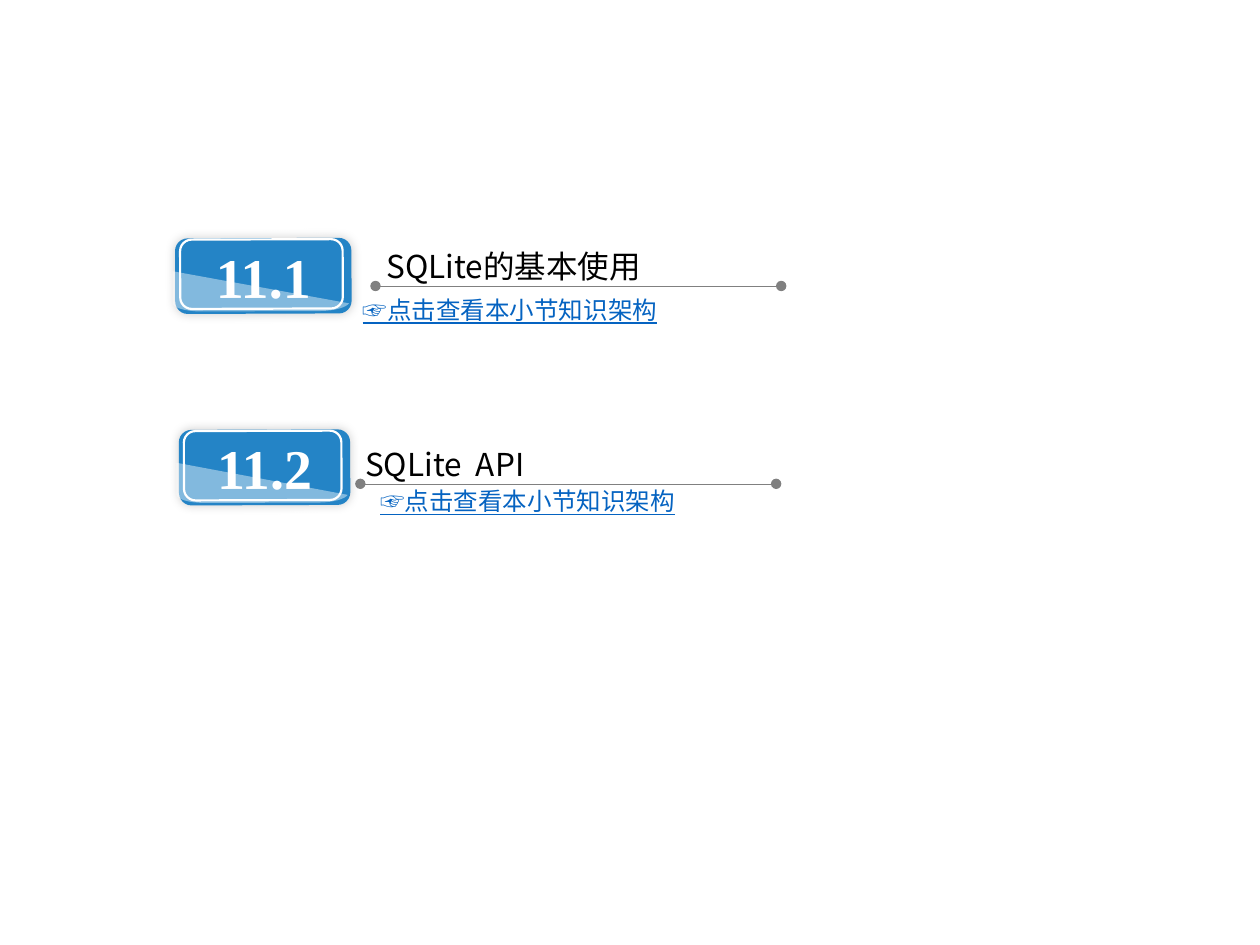
from lxml.etree import SubElement
from pptx import Presentation
from pptx.dml.color import RGBColor
from pptx.enum.dml import MSO_LINE
from pptx.enum.shapes import MSO_CONNECTOR, MSO_SHAPE
from pptx.enum.text import MSO_ANCHOR, MSO_AUTO_SIZE, PP_ALIGN
from pptx.oxml.ns import qn
from pptx.util import Inches, Pt

BLUE = RGBColor(0x24, 0x84, 0xC6)
LINK_BLUE = RGBColor(0x05, 0x63, 0xC1)
GRAY = RGBColor(0x80, 0x80, 0x80)
BLACK = RGBColor(0, 0, 0)
WHITE = RGBColor(0xFF, 0xFF, 0xFF)

SANS = "Noto Sans CJK SC"
SERIF = "Times New Roman"
LINK_TEXT = "☞点击查看本小节知识架构"
TILT = -0.2
SECTIONS = [
    {"number": "11.1", "title": "SQLite的基本使用", "badge": (1.39, 1.89, 1.4),
     "heading": (2.97, 1.91, 2.3), "rule": (2.98, 6.2, 2.27), "link": (2.78, 2.29)},
    {"number": "11.2", "title": "SQLite  API", "badge": (1.42, 3.41, 1.36),
     "heading": (2.8, 3.48, 1.54), "rule": (2.86, 6.16, 3.84), "link": (2.92, 3.81)},
]


def cubic_points(start, first, second, end, steps=8):
    """Return the points along a cubic curve after its start."""
    points = []
    for step in range(1, steps + 1):
        t = step / steps
        weights = ((1 - t) ** 3, 3 * t * (1 - t) ** 2, 3 * t * t * (1 - t), t ** 3)
        points.append(tuple(sum(weight * value for weight, value in zip(weights, values))
                            for values in zip(start, first, second, end)))
    return points


class SectionSlide:
    """Draws numbered section entries in one style on the current slide."""

    def __init__(self, slide):
        self.shapes = slide.shapes

    def add_run(self, paragraph, text, size, color, font=SANS):
        run = paragraph.add_run()
        run.text = text
        run.font.size = Pt(size)
        run.font.color.rgb = color
        run.font.name = font
        SubElement(run.font._element, qn("a:ea")).set("typeface", font)
        return run

    def add_text(self, left, top, width, height, text, size, color, wrap):
        box = self.shapes.add_textbox(*map(Inches, (left, top, width, height)))
        box.text_frame.word_wrap = wrap
        box.text_frame.auto_size = MSO_AUTO_SIZE.SHAPE_TO_FIT_TEXT
        return self.add_run(box.text_frame.paragraphs[0], text, size, color)

    def add_rule(self, left, right, top):
        rule = self.shapes.add_connector(
            MSO_CONNECTOR.STRAIGHT, Inches(left), Inches(top), Inches(right), Inches(top))
        rule.line.color.rgb = GRAY
        rule.line.width = Pt(0.25)
        rule.line.dash_style = MSO_LINE.ROUND_DOT
        line = rule.line._get_or_add_ln()
        for end in ("a:headEnd", "a:tailEnd"):
            SubElement(line, qn(end)).set("type", "oval")
        SubElement(rule._element.spPr, qn("a:effectLst"))

    def add_rounded(self, left, top, width, height):
        shape = self.shapes.add_shape(
            MSO_SHAPE.ROUNDED_RECTANGLE, *map(Inches, (left, top, width, height)))
        shape.rotation = TILT
        shape.shadow.inherit = False
        return shape

    def add_glow(self, shape):
        effects = shape._element.spPr.find(qn("a:effectLst"))
        shadow = SubElement(effects, qn("a:outerShdw"), blurRad=str(Pt(6)), dist="0",
                            dir=str(225 * 60000), rotWithShape="0")
        color = SubElement(shadow, qn("a:srgbClr"), val="000000")
        SubElement(color, qn("a:alpha"), val="20000")

    def add_glare(self, left, top, width):
        right, bottom = left + width, top + 0.32
        bottom_right, bottom_left = (right - 0.23, bottom), (left + 0.23, bottom)
        tip, left_end = (right, top + 0.26), (left, top + 0.25)
        points = [tip]
        points += cubic_points(tip, (right - 0.02, top + 0.29),
                               (right - 0.11, bottom), bottom_right)
        points.append(bottom_left)
        points += cubic_points(bottom_left, (left + 0.1, bottom),
                               (left, top + 0.29), left_end)
        builder = self.shapes.build_freeform(Inches(left), Inches(top))
        builder.add_line_segments([(Inches(x), Inches(y)) for x, y in points], close=True)
        glare = builder.convert_to_shape()
        glare.rotation = TILT
        glare.shadow.inherit = False
        glare.line.fill.background()
        glare.fill.solid()
        glare.fill.fore_color.rgb = WHITE
        color = glare._element.spPr.find(qn("a:solidFill"))[0]
        SubElement(color, qn("a:alpha"), val="43000")

    def add_badge(self, left, top, width, number):
        badge = self.add_rounded(left, top, width, 0.6)
        badge.fill.solid()
        badge.fill.fore_color.rgb = BLUE
        badge.line.fill.background()
        self.add_glow(badge)
        badge.text_frame.vertical_anchor = MSO_ANCHOR.MIDDLE
        paragraph = badge.text_frame.paragraphs[0]
        paragraph.alignment = PP_ALIGN.CENTER
        self.add_run(paragraph, number, 32, WHITE, SERIF).font.bold = True

        border = self.add_rounded(left + 0.04, top + 0.01, width - 0.11, 0.55)
        border.fill.background()
        border.line.color.rgb = WHITE
        border.line.width = Pt(1.25)
        self.add_glare(left - 0.02, top + 0.26, width)

    def add_section(self, section):
        self.add_rule(*section["rule"])
        self.add_text(*section["heading"], 0.4, section["title"], 18, BLACK, False)
        self.add_badge(*section["badge"], section["number"])
        link = self.add_text(*section["link"], 2.57, 0.34, LINK_TEXT, 14, LINK_BLUE, True)
        link.font.underline = True


def main():
    presentation = Presentation()
    presentation.slide_width = Inches(10)
    presentation.slide_height = Inches(7.5)
    section_slide = SectionSlide(presentation.slides.add_slide(presentation.slide_layouts[6]))
    for section in SECTIONS:
        section_slide.add_section(section)
    presentation.save("out.pptx")


if __name__ == "__main__":
    main()
